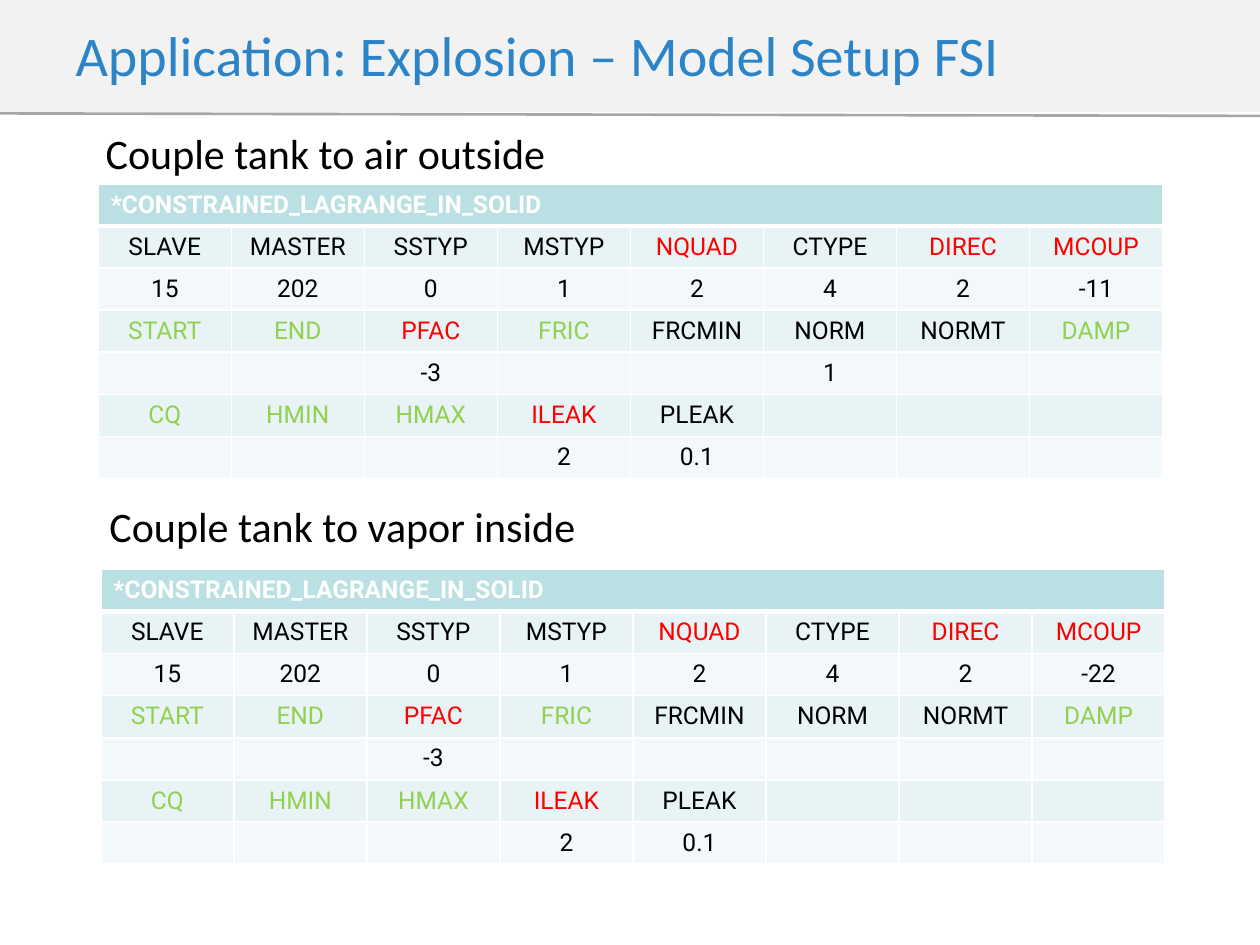
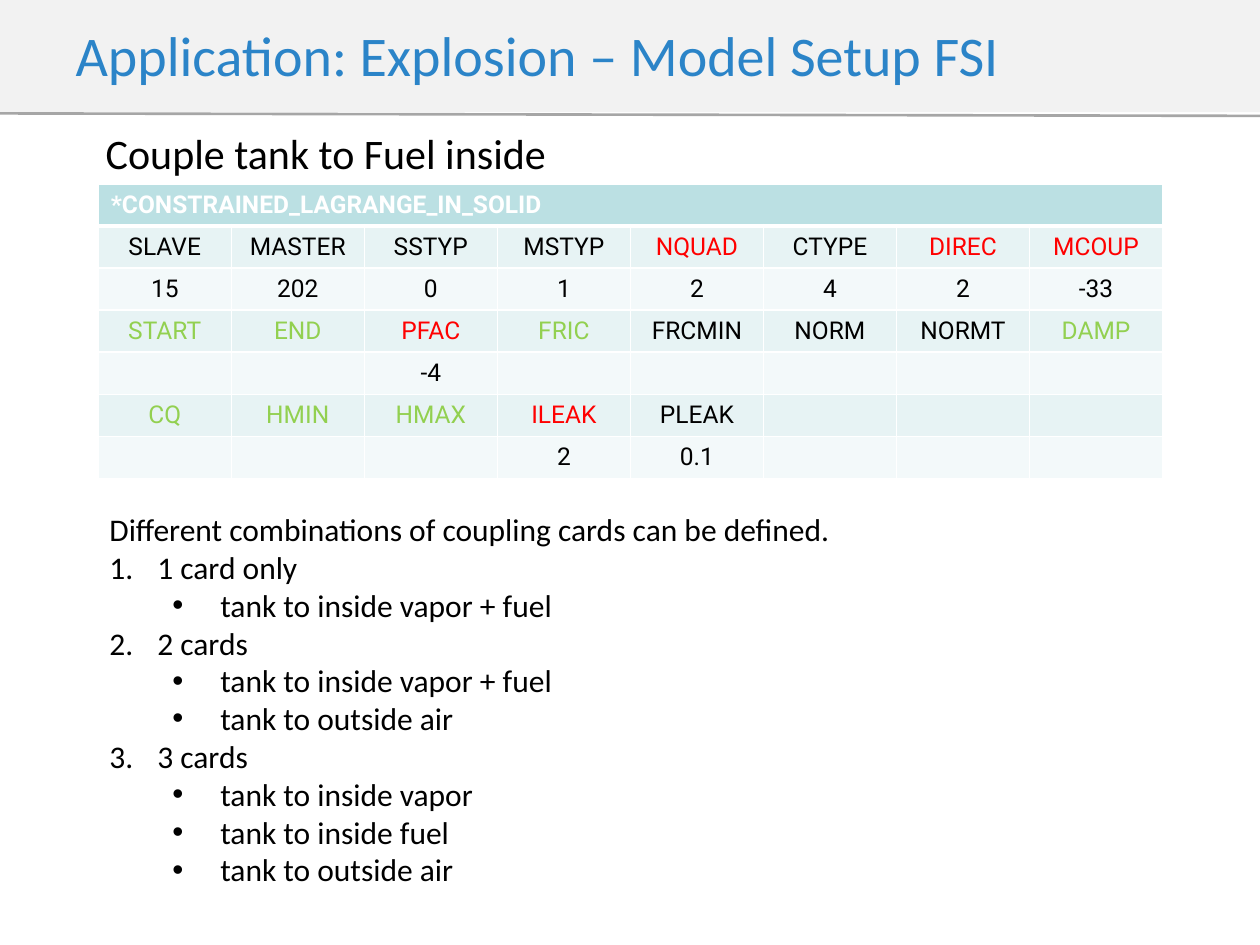
from lxml import etree
from pptx import Presentation
from pptx.dml.color import RGBColor
from pptx.enum.shapes import MSO_CONNECTOR
from pptx.enum.text import MSO_ANCHOR, MSO_AUTO_SIZE, PP_ALIGN
from pptx.oxml.ns import qn
from pptx.util import Inches, Pt

STRAIGHT = MSO_CONNECTOR.STRAIGHT
LEFT, CENTER = PP_ALIGN.LEFT, PP_ALIGN.CENTER
MIDDLE = MSO_ANCHOR.MIDDLE
NO_AUTOFIT = MSO_AUTO_SIZE.NONE

BLACK = RGBColor(0x00, 0x00, 0x00)
WHITE = RGBColor(0xFF, 0xFF, 0xFF)
RED = RGBColor(0xFF, 0x00, 0x00)
GREEN = RGBColor(0x92, 0xD0, 0x50)
TITLE_BLUE = RGBColor(0x2B, 0x84, 0xC8)
BAND_GREY = RGBColor(0xF2, 0xF2, 0xF2)
RULE_GREY = RGBColor(0xA6, 0xA6, 0xA6)
HEADER_FILL = RGBColor(0xBB, 0xE0, 0xE3)
LABEL_FILL = RGBColor(0xE7, 0xF3, 0xF4)
VALUE_FILL = RGBColor(0xF3, 0xF9, 0xFA)

TITLE = "Application: Explosion – Model Setup FSI"
KEYWORD = "*CONSTRAINED_LAGRANGE_IN_SOLID"
COLUMNS = 8
ROW_HEIGHT = 0.33
LABEL_COLORS = {
    **dict.fromkeys(("NQUAD", "DIREC", "MCOUP", "PFAC", "ILEAK"), RED),
    **dict.fromkeys(("START", "END", "FRIC", "DAMP", "CQ", "HMIN", "HMAX"), GREEN),
}
COMBINATIONS = [
    ("1 card only", ["tank to inside vapor + fuel"]),
    ("2 cards", ["tank to inside vapor + fuel", "tank to outside air"]),
    ("3 cards", ["tank to inside vapor", "tank to inside fuel",
                 "tank to outside air"]),
]


def card_rows(mcoup, pfac, norm=""):
    """Alternate label and value rows of one coupling card."""
    return [
        ["SLAVE", "MASTER", "SSTYP", "MSTYP", "NQUAD", "CTYPE", "DIREC", "MCOUP"],
        ["15", "202", "0", "1", "2", "4", "2", mcoup],
        ["START", "END", "PFAC", "FRIC", "FRCMIN", "NORM", "NORMT", "DAMP"],
        ["", "", pfac, "", "", norm, "", ""],
        ["CQ", "HMIN", "HMAX", "ILEAK", "PLEAK", "", "", ""],
        ["", "", "", "2", "0.1", "", "", ""],
    ]


class Deck:
    title_format = {"name": "Calibri", "size": Pt(32)}
    heading_format = {"name": "Calibri", "size": Pt(24)}
    body_format = {"name": "Calibri", "size": Pt(18)}
    cell_format = {"name": "Roboto", "size": Pt(14)}

    def __init__(self):
        self.prs = Presentation()
        self.prs.slide_width, self.prs.slide_height = Inches(10), Inches(7.5)
        self.slide = None

    def add_text(self, p, text, color=BLACK, **formats):
        r = p.add_run()
        r.text = text
        for key, value in formats.items():
            setattr(r.font, key, value)
        r.font.color.rgb = color

    def add_slide(self, title):
        self.slide = self.prs.slides.add_slide(self.prs.slide_layouts[5])
        # Title band
        sp = self.slide.shapes.title
        sp.left, sp.top = Inches(0), Inches(-0.03)
        sp.width, sp.height = Inches(10), Inches(0.92)
        sp.fill.solid()
        sp.fill.fore_color.rgb = BAND_GREY
        tf = sp.text_frame
        tf.auto_size = NO_AUTOFIT
        tf.vertical_anchor = MIDDLE
        tf.margin_left = Inches(0.6)
        p = tf.paragraphs[0]
        p.alignment = LEFT
        self.add_text(p, title, TITLE_BLUE, **self.title_format)
        # Rule below the band
        rule = self.slide.shapes.add_connector(
            STRAIGHT, Inches(0), Inches(0.9), Inches(10), Inches(0.92))
        rule.line.color.rgb = RULE_GREY
        rule.line.width = Pt(1.5)
        etree.SubElement(rule._element.spPr, qn("a:effectLst"))

    def text_box(self, left, top, width, height):
        box = self.slide.shapes.add_textbox(
            Inches(left), Inches(top), Inches(width), Inches(height))
        box.text_frame.word_wrap = True
        return box.text_frame

    def heading(self, text, left, top):
        tf = self.text_box(left, top, 4.49, 0.5)
        self.add_text(tf.paragraphs[0], text, **self.heading_format)

    def list_item(self, tf, text, level):
        p = tf.add_paragraph()
        p.level = level
        pPr = p._p.get_or_add_pPr()
        pPr.set("marL", str(Inches(0.38 + 0.5 * level)))
        pPr.set("indent", str(Inches(-0.38)))
        if level:
            etree.SubElement(pPr, qn("a:buFont"), typeface="Arial")
            etree.SubElement(pPr, qn("a:buChar"), char="•")
        else:
            etree.SubElement(pPr, qn("a:buAutoNum"), type="arabicPeriod")
        self.add_text(p, text, **self.body_format)

    def borders(self, cell, top, bottom):
        tcPr = cell._tc.get_or_add_tcPr()
        for side, width in (("L", 1), ("R", 1), ("T", top), ("B", bottom)):
            ln = etree.SubElement(tcPr, qn(f"a:ln{side}"), w=str(Pt(width)))
            fill = etree.SubElement(ln, qn("a:solidFill"))
            etree.SubElement(fill, qn("a:srgbClr"), val=str(WHITE))

    def card_table(self, left, top, rows):
        rows = [[KEYWORD] + [""] * (COLUMNS - 1)] + rows
        table = self.slide.shapes.add_table(
            len(rows), COLUMNS, Inches(left), Inches(top),
            Inches(8.45), Inches(ROW_HEIGHT * len(rows))).table
        table.first_row = table.horz_banding = False
        for i, row in enumerate(rows):
            header = i == 0
            fill = HEADER_FILL if header else LABEL_FILL if i % 2 else VALUE_FILL
            for j, text in enumerate(row):
                cell = table.cell(i, j)
                self.borders(cell, 3 if i == 1 else 1, 3 if header else 1)
                cell.fill.solid()
                cell.fill.fore_color.rgb = fill
                p = cell.text_frame.paragraphs[0]
                p.alignment = LEFT if header else CENTER
                if text:
                    color = WHITE if header else LABEL_COLORS.get(text, BLACK)
                    self.add_text(p, text, color, bold=header, **self.cell_format)
                else:
                    # Keep empty rows as low as the filled ones
                    etree.SubElement(p._p, qn("a:endParaRPr"), sz="1400")
        table.cell(0, 0).merge(table.cell(0, COLUMNS - 1))


def main():
    deck = Deck()

    # Slide 1: air and vapor coupling
    deck.add_slide(TITLE)
    deck.heading("Couple tank to air outside", 0.74, 0.96)
    deck.card_table(0.78, 1.46, card_rows("-11", "-3", "1"))
    deck.heading("Couple tank to vapor inside", 0.77, 3.92)
    deck.card_table(0.8, 4.52, card_rows("-22", "-3"))

    # Slide 2: fuel coupling and card combinations
    deck.add_slide(TITLE)
    deck.heading("Couple tank to Fuel inside", 0.74, 0.96)
    deck.card_table(0.78, 1.46, card_rows("-33", "-4"))
    tf = deck.text_box(0.77, 4, 6.29, 3.13)
    deck.add_text(tf.paragraphs[0],
                  "Different combinations of coupling cards can be defined.",
                  **deck.body_format)
    for cards, couplings in COMBINATIONS:
        deck.list_item(tf, cards, 0)
        for coupling in couplings:
            deck.list_item(tf, coupling, 1)

    deck.prs.save("out.pptx")


if __name__ == "__main__":
    main()
